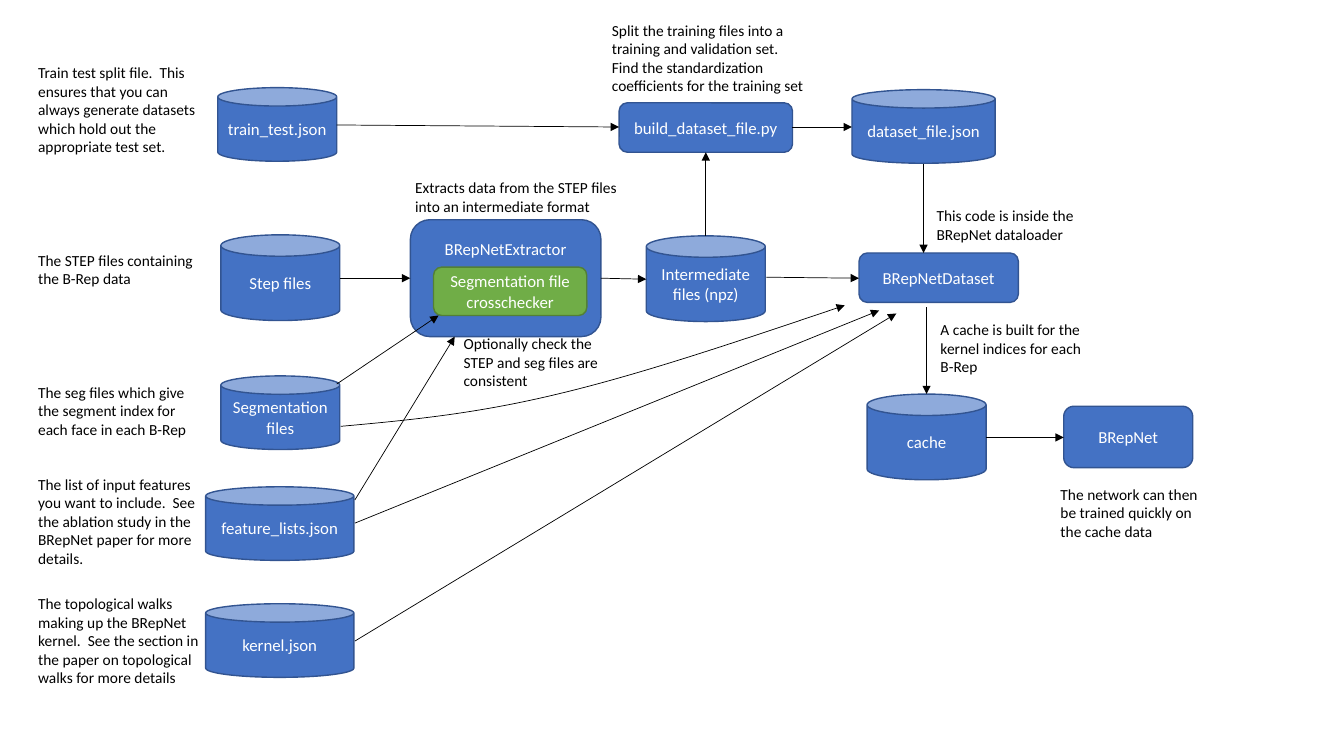
from lxml import etree
from pptx import Presentation
from pptx.dml.color import RGBColor
from pptx.enum.shapes import MSO_CONNECTOR, MSO_SHAPE
from pptx.enum.text import MSO_ANCHOR as ANCHOR, MSO_AUTO_SIZE as AUTO_SIZE, PP_ALIGN as ALIGN
from pptx.oxml.ns import qn
from pptx.util import Inches, Pt

COLORS = {"blue": "4472C4", "blue_edge": "325491", "green": "70AD47",
          "green_edge": "538035", "black": "000000", "white": "FFFFFF"}
CAN, BOX = MSO_SHAPE.CAN, MSO_SHAPE.ROUNDED_RECTANGLE


def format_text(text_frame, text, size, color, align):
    """Write the text and style every run."""
    text_frame.word_wrap = True
    text_frame.text = text
    for paragraph in text_frame.paragraphs:
        paragraph.alignment = align
        for run in paragraph.runs:
            run.font.size = Pt(size)
            run.font.name = "Calibri"
            run.font.color.rgb = RGBColor.from_string(COLORS[color])


def style_arrow(arrow):
    """Give a connector or curve a thin black line, an arrowhead and no shadow."""
    arrow.line.color.rgb = RGBColor.from_string(COLORS["black"])
    arrow.line.width = Pt(0.5)
    properties = arrow.line._get_or_add_ln()
    etree.SubElement(properties, qn("a:tailEnd"), type="triangle")
    if properties.getparent().find(qn("a:effectLst")) is None:
        properties.addnext(etree.Element(qn("a:effectLst")))


presentation = Presentation()
presentation.slide_width = Inches(13.33)
presentation.slide_height = Inches(7.5)
slide = presentation.slides.add_slide(presentation.slide_layouts[6])

# Files, programs and the network: preset, left, top, width, height, text, fill
nodes = [
    (CAN, 2.16, 0.87, 1.18, 0.73, "train_test.json", "blue"),
    (CAN, 2.19, 2.33, 1.18, 0.85, "Step files", "blue"),
    (CAN, 2.19, 3.73, 1.18, 0.73, "Segmentation files", "blue"),
    (CAN, 2.04, 4.83, 1.47, 0.73, "feature_lists.json", "blue"),
    (CAN, 2.04, 5.99, 1.47, 0.73, "kernel.json", "blue"),
    (BOX, 4.07, 2.18, 1.89, 1.16, "BRepNetExtractor", "blue"),
    (BOX, 4.3, 2.65, 1.52, 0.48, "Segmentation file crosschecker", "green"),
    (CAN, 6.41, 2.34, 1.18, 0.85, "Intermediate files (npz)", "blue"),
    (BOX, 6.14, 1.02, 1.72, 0.49, "build_dataset_file.py", "blue"),
    (CAN, 8.45, 0.89, 1.42, 0.73, "dataset_file.json", "blue"),
    (BOX, 8.52, 2.51, 1.58, 0.49, "BRepNetDataset", "blue"),
    (CAN, 8.6, 3.91, 1.18, 0.85, "cache", "blue"),
    (BOX, 10.55, 4.03, 1.28, 0.61, "BRepNet", "blue"),
]
for preset, left, top, width, height, text, fill in nodes:
    shape = slide.shapes.add_shape(
        preset, Inches(left), Inches(top), Inches(width), Inches(height))
    shape.shadow.inherit = False
    shape.fill.solid()
    shape.fill.fore_color.rgb = RGBColor.from_string(COLORS[fill])
    shape.line.color.rgb = RGBColor.from_string(COLORS[fill + "_edge"])
    shape.line.width = Pt(1)
    format_text(shape.text_frame, text, 12, "white", ALIGN.CENTER)
    shape.text_frame.vertical_anchor = ANCHOR.MIDDLE
    if text == "BRepNetExtractor":  # its label sits above the crosschecker
        shape.text_frame.vertical_anchor = ANCHOR.TOP
        shape.text_frame.margin_top = Inches(0.13)

# Straight arrows: start x, start y, end x, end y
arrows = [
    (3.34, 1.24, 6.14, 1.26),  # train_test.json to build_dataset_file.py
    (7.86, 1.26, 8.45, 1.26),  # build_dataset_file.py to dataset_file.json
    (9.16, 1.63, 9.16, 2.51),  # dataset_file.json to BRepNetDataset
    (3.37, 2.76, 4.07, 2.76),  # step files to extractor
    (5.96, 2.76, 6.41, 2.77),  # extractor to intermediate files
    (7, 2.34, 7, 1.51),        # intermediate files to build_dataset_file.py
    (7.6, 2.75, 8.52, 2.76),   # intermediate files to BRepNetDataset
    (3.34, 3.81, 4.35, 3.13),  # segmentation files to crosschecker
    (3.52, 4.96, 4.51, 3.34),  # feature_lists.json to extractor
    (3.52, 5.19, 8.72, 3.08),  # feature_lists.json to BRepNetDataset
    (3.52, 6.36, 8.89, 3.11),  # kernel.json to BRepNetDataset
    (9.19, 3.05, 9.19, 3.91),  # BRepNetDataset to cache
    (9.78, 4.34, 10.55, 4.34),  # cache to BRepNet
]
for ends in arrows:
    style_arrow(slide.shapes.add_connector(
        MSO_CONNECTOR.STRAIGHT, *[Inches(value) for value in ends]))

# Curved arrow from segmentation files to BRepNetDataset
curve_points = [(4.04, 4.17), (4.7, 4.11), (5.53, 3.91),
                (6.37, 3.71), (7.37, 3.37), (8.38, 3.03)]
builder = slide.shapes.build_freeform(Inches(3.38), Inches(4.23))
builder.add_line_segments([(Inches(x), Inches(y)) for x, y in curve_points], close=False)
curve = builder.convert_to_shape()
curve.shadow.inherit = False
curve.fill.background()
style_arrow(curve)
# Every three line points become one cubic Bezier segment
segments = list(curve._element.iter(qn("a:lnTo")))
outline = segments[0].getparent()
for start in range(0, len(segments), 3):
    bezier = etree.SubElement(outline, qn("a:cubicBezTo"))
    for segment in segments[start:start + 3]:
        bezier.append(segment[0])
        outline.remove(segment)

# Explanations: left, top, width, height, text
notes = [
    (0.28, 0.58, 1.87, 1.03, "Train test split file.  This ensures that you can always "
     "generate datasets which hold out the appropriate test set."),
    (0.28, 2.44, 1.87, 0.47, "The STEP files containing the B-Rep data"),
    (0.28, 3.75, 1.87, 0.66, "The seg files which give the segment index for each face "
     "in each B-Rep"),
    (0.28, 4.66, 1.87, 1.03, "The list of input features you want to include.  See the "
     "ablation study in the BRepNet paper for more details."),
    (0.28, 5.85, 1.87, 1.03, "The topological walks making up the BRepNet kernel.  See the "
     "section in the paper on topological walks for more details"),
    (4.02, 1.72, 2.33, 0.47, "Extracts data from the STEP files into an intermediate format"),
    (4.5, 3.27, 1.66, 0.66, "Optionally check the STEP and seg files are consistent"),
    (5.97, 0.16, 2.11, 0.84, "Split the training files into a training and validation set.\n"
     "Find the standardization coefficients for the training set"),
    (9.19, 2, 1.88, 0.47, "This code is inside the BRepNet dataloader"),
    (9.23, 3.13, 1.73, 0.66, "A cache is built for the kernel indices for each B-Rep"),
    (10.42, 4.76, 1.73, 0.66, "The network can then be trained quickly on the cache data"),
]
for left, top, width, height, text in notes:
    note = slide.shapes.add_textbox(Inches(left), Inches(top), Inches(width), Inches(height))
    format_text(note.text_frame, text, 11, "black", ALIGN.LEFT)
    note.text_frame.auto_size = AUTO_SIZE.SHAPE_TO_FIT_TEXT

presentation.save("out.pptx")
